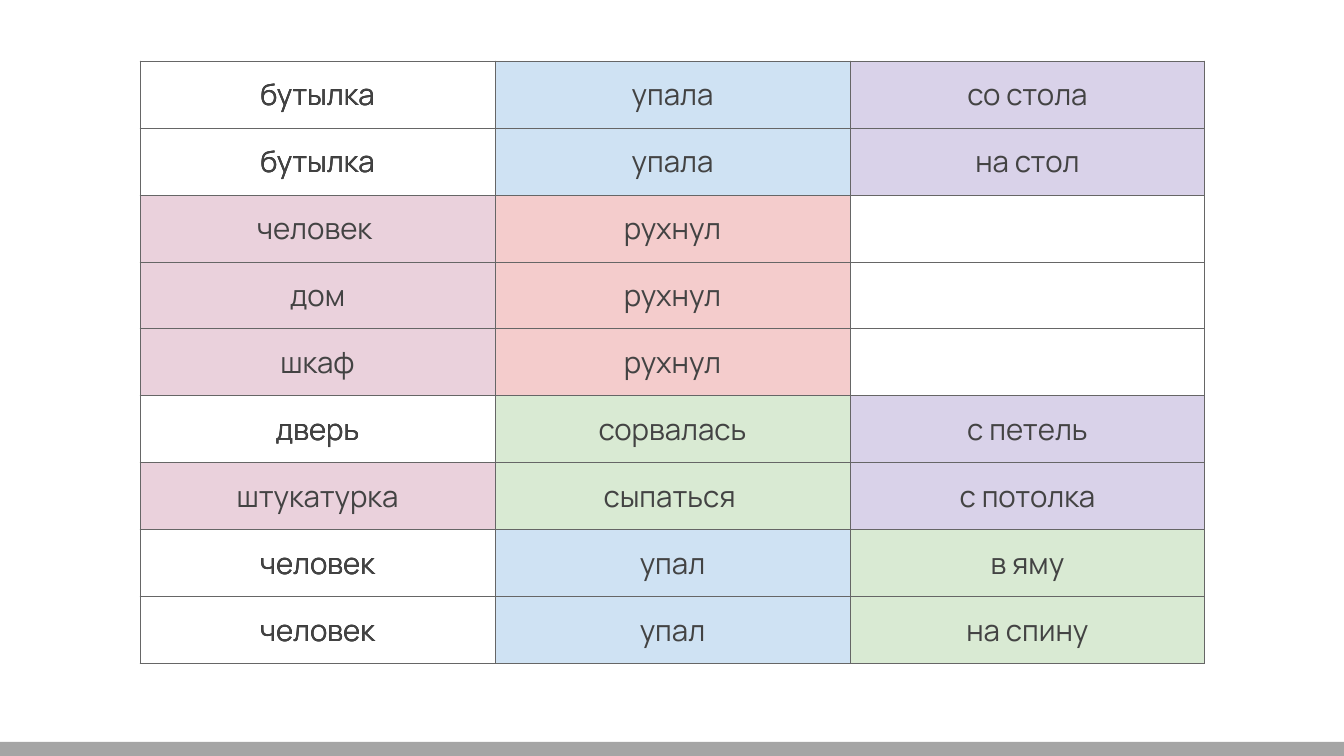
from lxml import etree
from pptx import Presentation
from pptx.dml.color import RGBColor
from pptx.enum.shapes import MSO_SHAPE
from pptx.enum.text import MSO_ANCHOR, PP_ALIGN
from pptx.oxml.ns import qn
from pptx.util import Emu, Pt

RECTANGLE = MSO_SHAPE.RECTANGLE
MIDDLE = MSO_ANCHOR.MIDDLE
CENTER = PP_ALIGN.CENTER
BLANK_LAYOUT = 6
NO_STYLE = "{2D5ABB26-0587-4C30-8999-92F81FD0307C}"
EMU_PER_PX = 914400 / 100.8

COLORS = {
    "white": "FFFFFF",
    "black": "000000",
    "text": "434343",
    "border": "666666",
    "footer": "A5A5A5",
    "blue": "CFE2F3",
    "violet": "D9D2E9",
    "pink": "EAD1DC",
    "red": "F4CCCC",
    "green": "D9EAD3",
}

# Subject, verb and place, each with its highlight (None: no highlight)
PHRASES = [
    [("бутылка", None), ("упала", "blue"), ("со стола", "violet")],
    [("бутылка", None), ("упала", "blue"), ("на стол", "violet")],
    [("человек ", "pink"), ("рухнул", "red"), ("", None)],
    [("дом", "pink"), ("рухнул", "red"), ("", None)],
    [("шкаф", "pink"), ("рухнул", "red"), ("", None)],
    [("дверь", None), ("сорвалась", "green"), ("с петель", "violet")],
    [("штукатурка", "pink"), ("сыпаться ", "green"), ("с потолка", "violet")],
    [("человек", None), ("упал", "blue"), ("в яму", "green")],
    [("человек", None), ("упал", "blue"), ("на спину", "green")],
]


def px(length):
    return Emu(round(length * EMU_PER_PX))


def rgb(name):
    return RGBColor.from_string(COLORS[name])


class SlideBuilder:
    font_name = "Manrope"
    font_size = Pt(21)
    cell_margin = px(13)
    border_width = Pt(0.75)

    def __init__(self, slide):
        self.slide = slide

    def bar(self, left, top, width, height, color):
        bar = self.slide.shapes.add_shape(
            RECTANGLE, px(left), px(top), px(width), px(height))
        bar.shadow.inherit = False
        bar.fill.solid()
        bar.fill.fore_color.rgb = rgb(color)
        bar.line.fill.background()

    def table(self, left, top, column_width, row_height, rows, text_color):
        frame = self.slide.shapes.add_table(
            len(rows), len(rows[0]), px(left), px(top),
            px(column_width * len(rows[0])), px(row_height * len(rows)))
        table = frame.table
        table.first_row = table.horz_banding = False
        next(frame.element.iter(qn("a:tableStyleId"))).text = NO_STYLE
        for column in table.columns:
            column.width = px(column_width)
        for r, row in enumerate(rows):
            table.rows[r].height = px(row_height)
            for c, (word, fill) in enumerate(row):
                self.cell(table.cell(r, c), word, fill, text_color)

    def cell(self, cell, word, fill, text_color):
        cell.margin_left = cell.margin_right = self.cell_margin
        cell.margin_top = cell.margin_bottom = self.cell_margin
        cell.vertical_anchor = MIDDLE
        self.borders(cell)
        if fill:
            cell.fill.solid()
            cell.fill.fore_color.rgb = rgb(fill)
        else:
            cell.fill.background()
        paragraph = cell.text_frame.paragraphs[0]
        paragraph.text = word
        paragraph.alignment = CENTER
        paragraph.font.name = self.font_name
        paragraph.font.size = self.font_size
        paragraph.font.color.rgb = rgb(text_color)

    def borders(self, cell):
        properties = cell._tc.get_or_add_tcPr()
        for side in ("a:lnL", "a:lnR", "a:lnT", "a:lnB"):
            line = etree.SubElement(properties, qn(side), w=str(self.border_width))
            solid = etree.SubElement(line, qn("a:solidFill"))
            etree.SubElement(solid, qn("a:srgbClr"), val=COLORS["border"])


def main():
    presentation = Presentation()
    presentation.slide_width = px(1344)
    presentation.slide_height = px(756)
    layout = presentation.slide_layouts[BLANK_LAYOUT]
    builder = SlideBuilder(presentation.slides.add_slide(layout))

    # Footer band
    builder.bar(0, 742, 1344, 14, "footer")

    # Plain table, with the highlighted one laid over it
    plain = [[(word, "white") for word, _ in row] for row in PHRASES]
    for rows, text_color in ((plain, "black"), (PHRASES, "text")):
        builder.table(140, 61, 355, 67, rows, text_color)

    presentation.save("out.pptx")


if __name__ == "__main__":
    main()
